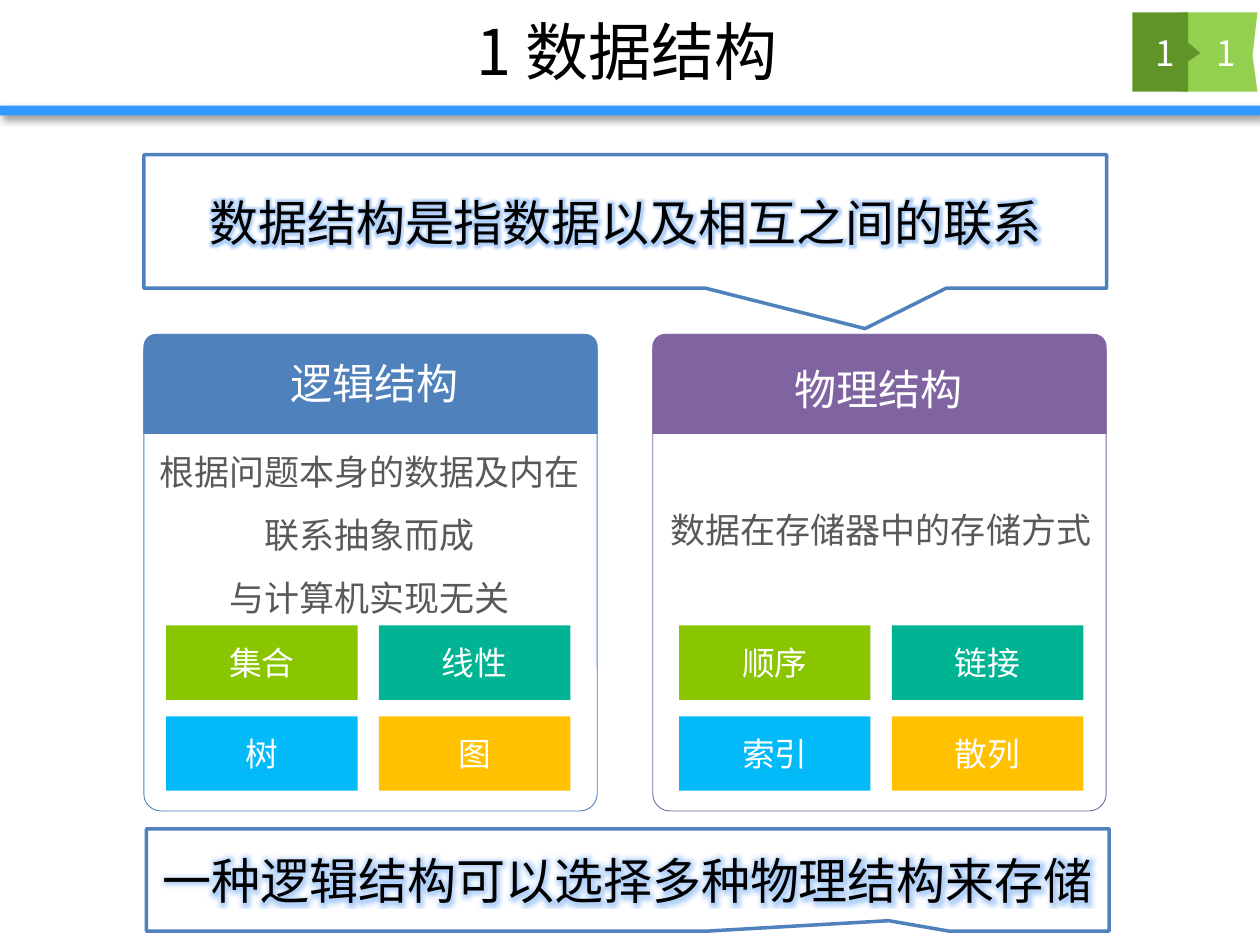
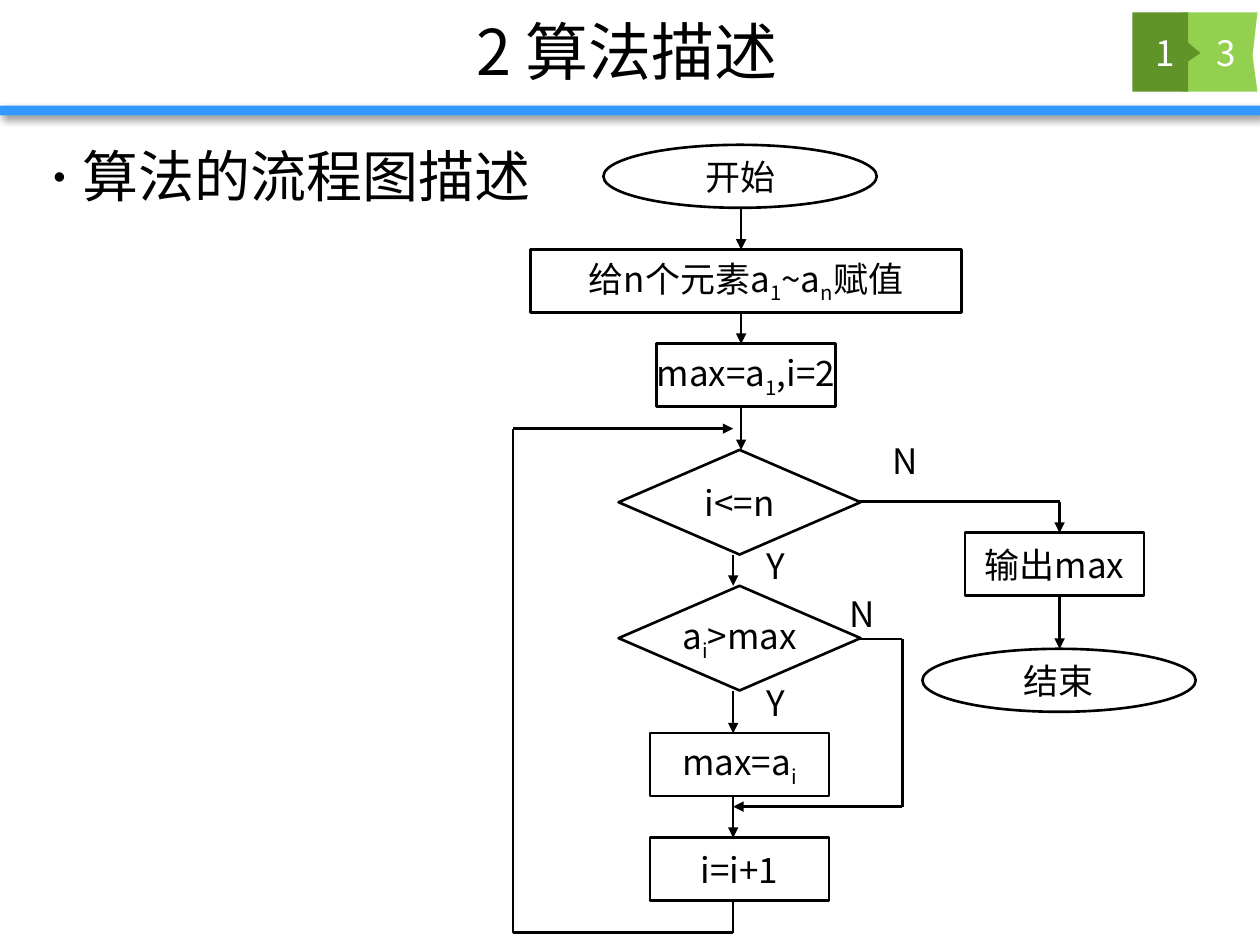
from dataclasses import dataclass
from lxml import etree
from pptx import Presentation
from pptx.dml.color import RGBColor
from pptx.enum.shapes import MSO_CONNECTOR, MSO_SHAPE
from pptx.enum.text import MSO_ANCHOR, PP_ALIGN
from pptx.oxml.ns import qn
from pptx.util import Cm, Pt

RECT, OVAL = MSO_SHAPE.RECTANGLE, MSO_SHAPE.OVAL
CHOICE = MSO_SHAPE.FLOWCHART_DECISION
ROUND, CAP = MSO_SHAPE.ROUNDED_RECTANGLE, MSO_SHAPE.ROUND_2_SAME_RECTANGLE
CALL = MSO_SHAPE.RECTANGULAR_CALLOUT
LINE = MSO_CONNECTOR.STRAIGHT
LEFT, MID = PP_ALIGN.LEFT, PP_ALIGN.CENTER
TOP, CENTER = MSO_ANCHOR.TOP, MSO_ANCHOR.MIDDLE


@dataclass(frozen=True)
class Theme:
    font: str = "Noto Sans CJK SC"
    ink: str = "000000"
    paper: str = "FFFFFF"
    gray: str = "595959"
    band: str = "3399FF"
    lime: str = "93D050"
    moss: str = "619428"
    blue: str = "4F81BD"
    plum: str = "8064A2"
    glow: str = "3D8BF0"
    tiles: tuple = ("89C600", "00B393", "02BAF8", "FFC100")
    title: float = 36
    lead: float = 32
    call: float = 28
    head: float = 24
    body: float = 20
    tile: float = 18.7


T = Theme()

HEADS = [("1 数据结构", "1", "1"), ("2 算法描述", "1", "3")]

CALLS = [
    ("数据结构是指数据以及相互之间的联系", (2.9, 3.12, 19.41, 2.69), (0.249, 0.803)),
    ("一种逻辑结构可以选择多种物理结构来存储", (2.95, 16.71, 19.41, 2.06), (0.271, 0.399)),
]

CARDS = [
    dict(name="逻辑结构", color=T.blue, left=2.9, head=(3.05, 7.09),
         lines=["根据问题本身的数据及内在联系抽象而成", "与计算机实现无关"],
         body=(2.95, 8.53, 9, 4.11), space=1.5,
         tiles=["集合", "线性", "树", "图"], grid=3.35),
    dict(name="物理结构", color=T.plum, left=13.16, head=(13.21, 7.21),
         lines=["数据在存储器中的存储方式"],
         body=(13.26, 10.13, 9, 1.12), space=1,
         tiles=["顺序", "链接", "索引", "散列"], grid=13.69),
]

POINT = "算法的流程图描述"

SIZES = {OVAL: (5.51, 1.27), RECT: (3.61, 1.27), CHOICE: (4.88, 2.11)}
WIDE = 8.69
NODES = [
    ("开始", OVAL, 14.92, 2.92),
    ("给n个元素a|1|~a|n|赋值", RECT, 15.04, 5.03, WIDE),
    ("max=a|1|,i=2", RECT, 15.04, 6.93),
    ("i<=n", CHOICE, 14.91, 9.07),
    ("a|i|>max", CHOICE, 14.91, 11.81),
    ("max=a|i", RECT, 14.91, 14.78),
    ("i=i+1", RECT, 14.91, 16.89),
    ("输出max", RECT, 21.26, 10.74),
    ("结束", OVAL, 21.35, 13.08),
]

DOWN = [
    (14.94, 4.19, 5.03), (14.94, 6.3, 6.93), (14.94, 8.2, 9.07),
    (14.78, 11.18, 11.81), (14.78, 13.92, 14.78), (14.78, 16.05, 16.89),
    (21.36, 12.01, 13.08),
]
LOOP = [(14.78, 18.16), (14.78, 18.8), (10.34, 18.8), (10.34, 8.64), (14.78, 8.64)]
SKIP = [(17.32, 12.88), (18.19, 12.88), (18.19, 16.26), (14.78, 16.26)]
EXIT = [(17.32, 10.11), (21.36, 10.11), (21.36, 10.74)]
ROUTES = [[(x, a), (x, b)] for x, a, b in DOWN] + [LOOP, SKIP, EXIT]

MARKS = [("N", 16.87, 11.81), ("N", 17.75, 8.74), ("Y", 15.21, 10.85), ("Y", 15.21, 13.61)]


def rgb(code):
    return RGBColor.from_string(code)


def sub(node, tag, **attrs):
    return etree.SubElement(node, qn(tag), attrs)


def tint(node, code, alpha):
    sub(sub(node, "a:srgbClr", val=code), "a:alpha", val=str(alpha * 1000))


def write(shape, lines, size, color=T.ink, align=MID, anchor=CENTER, wrap=True, space=None):
    frame = shape.text_frame
    frame.word_wrap = wrap
    frame.vertical_anchor = anchor
    for i, line in enumerate(lines):
        para = frame.add_paragraph() if i else frame.paragraphs[0]
        para.alignment = align
        para.line_spacing = space
        first, *rest = line.split("|")
        para.text = first
        for piece in rest:
            para.add_run().text = piece
        for n, run in enumerate(para.runs):
            run.font.size = Pt(size)
            run.font.color.rgb = rgb(color)
            run.font.name = T.font
            props = run._r.get_or_add_rPr()
            sub(props, "a:ea", typeface=T.font)
            if n % 2:
                props.set("baseline", "-25000")
    return shape


def paint(shape, fill=None, line=None, width=0.5):
    shape.shadow.inherit = False
    if fill:
        shape.fill.solid()
        shape.fill.fore_color.rgb = rgb(fill)
    else:
        shape.fill.background()
    if line:
        shape.line.color.rgb = rgb(line)
        shape.line.width = Pt(width)
    else:
        shape.line.fill.background()
    return shape


def draw(slide, kind, box, fill=None, line=None, width=0.5, adj=()):
    shape = slide.shapes.add_shape(kind, *map(Cm, box))
    for i, value in enumerate(adj):
        shape.adjustments[i] = value
    return paint(shape, fill, line, width)


def label(slide, box, lines, size, **style):
    return write(slide.shapes.add_textbox(*map(Cm, box)), lines, size, **style)


def flag(slide, points, fill):
    first, *rest = [(Cm(x), Cm(y)) for x, y in points]
    pen = slide.shapes.build_freeform(*first)
    pen.add_line_segments(rest)
    paint(pen.convert_to_shape(), fill)


def start(deck, name, part, page):
    slide = deck.slides.add_slide(deck.slide_layouts[5])
    title = slide.shapes.title
    title.left, title.top, title.width, title.height = map(Cm, (2.49, 0.03, 20.29, 1.96))
    write(title, [name], T.title)
    band = draw(slide, RECT, (0, 2.13, 25.4, 0.2), T.band)
    cast = sub(band._element.spPr.find(qn("a:effectLst")), "a:outerShdw",
               blurRad=str(Pt(4)), dist=str(Pt(3)), dir="2700000")
    tint(cast, T.ink, 40)
    flag(slide, [(23.83, 0.25), (25.35, 0.25), (25.25, 1.12), (25.35, 1.85), (23.83, 1.85)], T.lime)
    flag(slide, [(22.83, 0.25), (23.95, 0.25), (23.95, 0.86), (24.2, 1.07),
                 (23.95, 1.24), (23.95, 1.85), (22.83, 1.85)], T.moss)
    for text, left in ((page, 23.93), (part, 22.71)):
        label(slide, (left, 0.25, 1.57, 1.6), [text], T.body, color=T.paper)
    return slide


def call(slide, text, box, adj):
    shape = draw(slide, CALL, box, T.paper, T.blue, 2, adj)
    write(shape, [text], T.call)
    props = shape.text_frame.paragraphs[0].runs[0]._r.get_or_add_rPr()
    fx = etree.Element(qn("a:effectLst"))
    tint(sub(fx, "a:glow", rad=str(Pt(8))), T.glow, 40)
    props.find(qn("a:solidFill")).addnext(fx)


def card(slide, item):
    left, color = item["left"], item["color"]
    draw(slide, ROUND, (left, 6.74, 9.14, 9.61), None, color, adj=(0.038,))
    draw(slide, CAP, (left, 6.74, 9.14, 2), color, color, adj=(0.125, 0))
    label(slide, (*item["head"], 9, 1.27), [item["name"]], T.head, color=T.paper, anchor=TOP)
    label(slide, item["body"], item["lines"], T.body, color=T.gray, anchor=TOP,
          space=item["space"])
    for i, (text, fill) in enumerate(zip(item["tiles"], T.tiles)):
        row, col = divmod(i, 2)
        box = (item["grid"] + col * 4.29, 12.61 + row * 1.83, 3.86, 1.5)
        write(draw(slide, RECT, box, fill), [text], T.tile, T.paper)


def route(slide, points):
    for a, b in zip(points, points[1:]):
        link = slide.shapes.add_connector(LINE, *map(Cm, (*a, *b)))
        link.line.color.rgb = rgb(T.ink)
        link.line.width = Pt(1.5)
        sub(link._element.spPr, "a:effectLst")
    sub(link.line._get_or_add_ln(), "a:tailEnd", type="triangle")


def node(slide, text, kind, mid, top, width=None):
    wide, high = SIZES[kind]
    wide = width or wide
    shape = draw(slide, kind, (mid - wide / 2, top, wide, high), None, T.ink, 1.5)
    write(shape, [text], T.body, wrap=False)


def point(slide, text):
    box = slide.shapes.add_textbox(*map(Cm, (0.51, 2.72, 24.61, 14.3)))
    props = box.text_frame.paragraphs[0]._p.get_or_add_pPr()
    props.set("marL", str(Cm(0.89)))
    props.set("indent", str(-Cm(0.89)))
    sub(props, "a:buSzPct", val="80000")
    sub(props, "a:buFont", typeface=T.font)
    sub(props, "a:buChar", char="•")
    write(box, [text], T.lead, align=LEFT, anchor=TOP)


def main():
    deck = Presentation()
    deck.slide_width, deck.slide_height = Cm(25.4), Cm(19.05)
    data, flow = [start(deck, *head) for head in HEADS]
    for item in CALLS:
        call(data, *item)
    for item in CARDS:
        card(data, item)
    point(flow, POINT)
    for item in NODES:
        node(flow, *item)
    for points in ROUTES:
        route(flow, points)
    for text, left, top in MARKS:
        label(flow, (left, top, 1.22, 1.09), [text], T.body, align=LEFT, anchor=TOP, wrap=False)
    deck.save("out.pptx")


if __name__ == "__main__":
    main()
